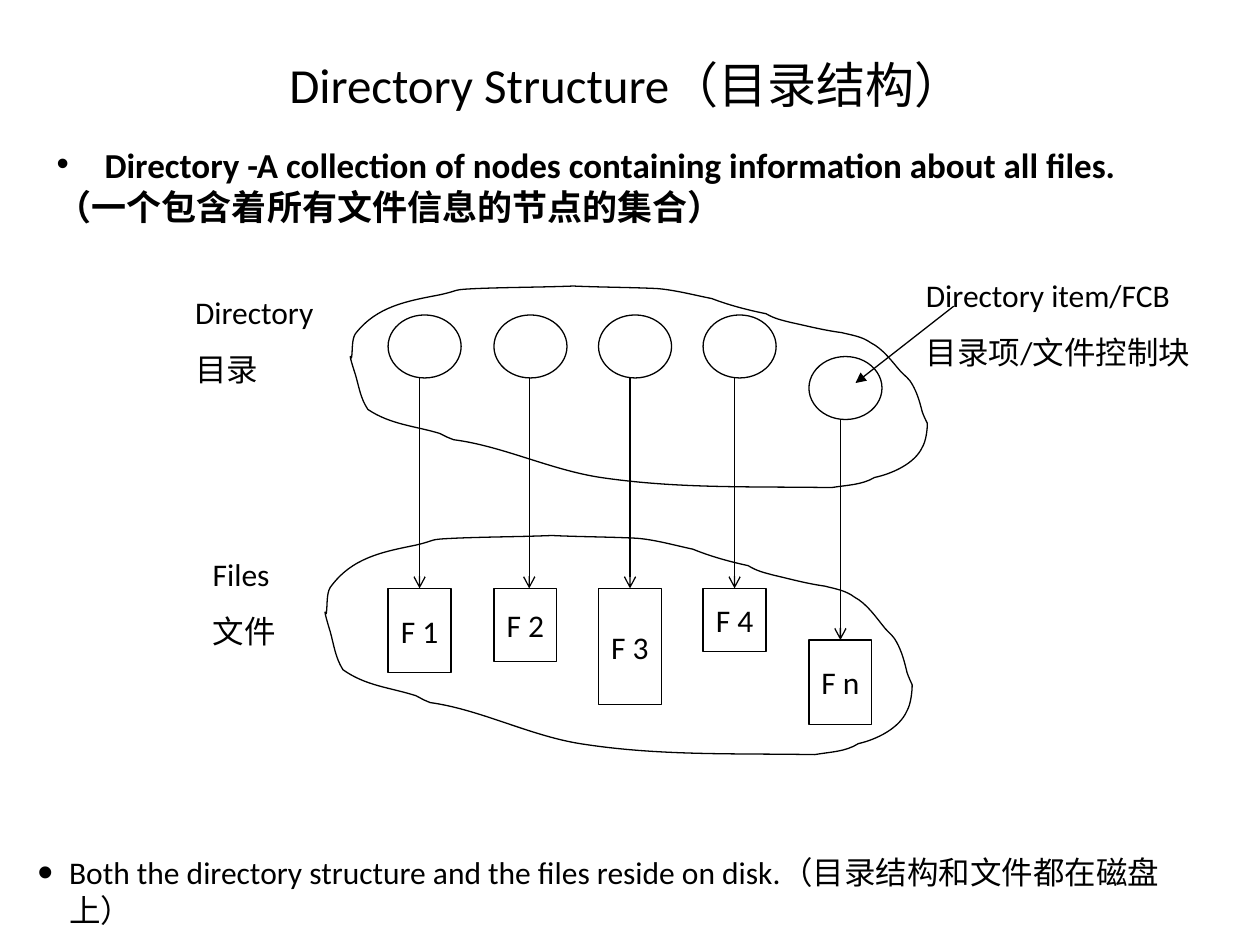
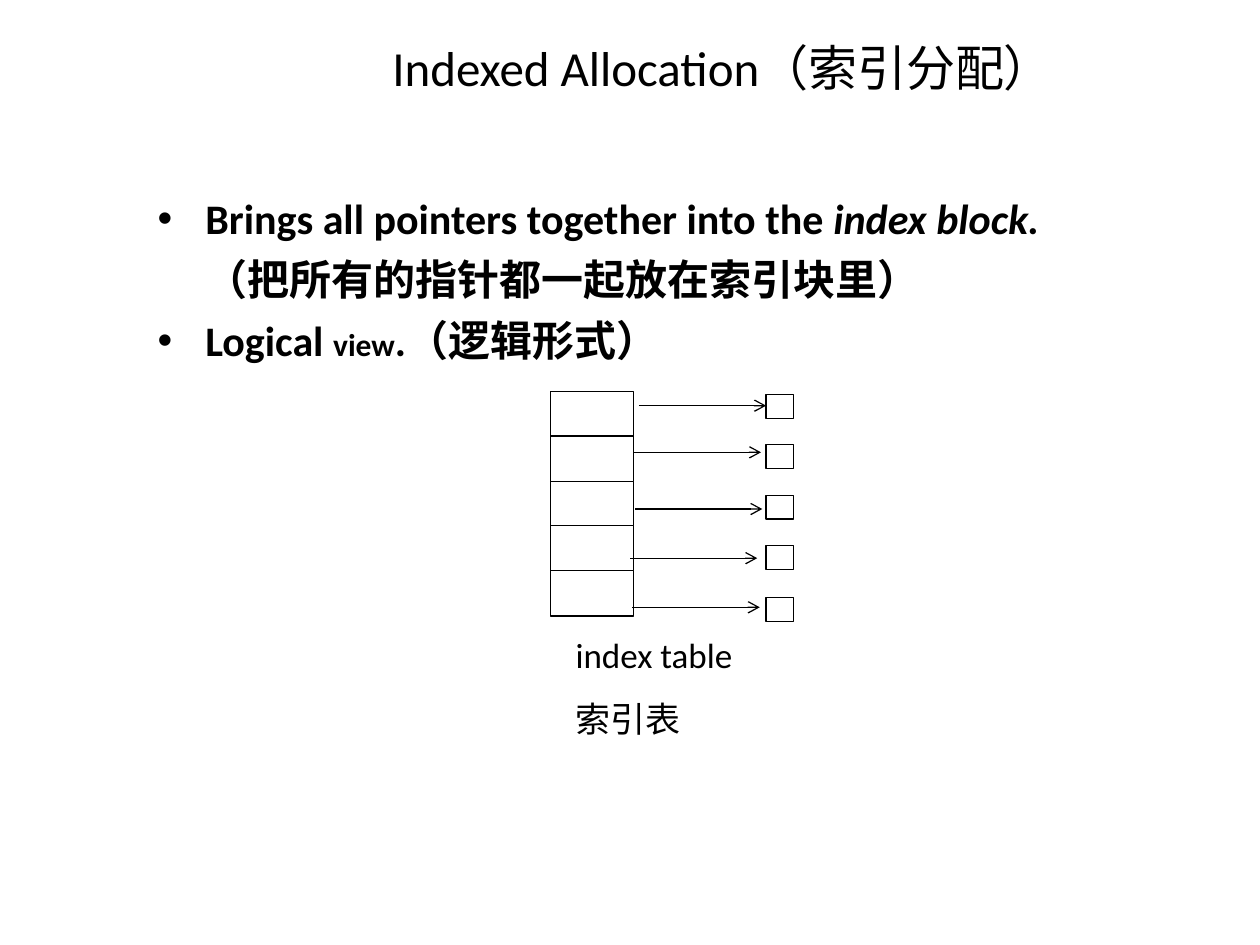
from lxml import etree
from pptx import Presentation
from pptx import util as u
from pptx.dml.color import RGBColor
from pptx.enum import shapes, text
from pptx.oxml import ns

PX = 9144  # EMU in one px: 100 px to the inch
BLACK = RGBColor(0, 0, 0)
WHITE = RGBColor(255, 255, 255)
FONT = "Calibri"
LINE_WIDTH = u.Pt(0.75)
HANG = 38

# Cloud outline: a start point, then Bézier curves of two controls and an end
CLOUD_SIZE = (458, 161)
CLOUD_START = (1, 57)
CLOUD_CURVES = [
    (2, 51, 1, 43, 4, 38), (21, 16, 45, 12, 71, 7),
    (89, 3, 79, 3, 101, 2), (126, 1, 151, 1, 177, 0),
    (199, 1, 221, 1, 243, 2), (257, 3, 272, 7, 287, 10),
    (300, 15, 315, 19, 330, 22), (337, 26, 342, 27, 350, 29),
    (364, 32, 375, 35, 390, 37), (398, 39, 406, 40, 413, 45),
    (423, 50, 430, 60, 437, 68), (440, 71, 444, 74, 446, 78),
    (450, 85, 452, 92, 454, 100), (455, 103, 458, 109, 458, 109),
    (458, 114, 457, 123, 454, 128), (448, 141, 430, 149, 416, 152),
    (406, 158, 394, 158, 382, 160), (318, 159, 260, 161, 199, 152),
    (159, 146, 121, 127, 82, 122), (80, 121, 79, 121, 77, 120),
    (75, 119, 73, 118, 71, 117), (51, 111, 32, 110, 14, 98),
    (8, 89, 7, 80, 4, 70), (4, 70, 0, 58, 0, 56), (0, 55, 1, 57, 1, 57),
]


def emu(*lengths):
    return [u.Emu(round(length * PX)) for length in lengths]


def steps(start, span, count=5):
    """Whole-px positions spread evenly from start over span."""
    return [start + span * index // (count - 1) for index in range(count)]


def place(shape, left, top, width, height):
    shape.left, shape.top, shape.width, shape.height = emu(left, top, width, height)


def style_font(font, size, bold=False):
    font.name, font.size, font.bold = FONT, u.Pt(size), bold
    font.color.rgb = BLACK


def set_bullet(para, margin, indent, mark=None, percent=100):
    """Give a paragraph its margin, first-line indent and bullet mark."""
    props = para._p.get_or_add_pPr()
    props.set("marL", str(margin * PX))
    props.set("indent", str(indent * PX))
    if mark is None:
        etree.SubElement(props, ns.qn("a:buNone"))
        return
    colour = etree.SubElement(props, ns.qn("a:buClr"))
    etree.SubElement(colour, ns.qn("a:srgbClr"), val=str(BLACK))
    etree.SubElement(props, ns.qn("a:buSzPct"), val=str(percent * 1000))
    etree.SubElement(props, ns.qn("a:buFont"), typeface="Arial")
    etree.SubElement(props, ns.qn("a:buChar"), char=mark)


def set_title(page, words, bounds):
    title = page.shapes.title
    place(title, *bounds)
    frame = title.text_frame
    frame.text = words
    frame.vertical_anchor = text.MSO_ANCHOR.TOP
    frame.auto_size = text.MSO_AUTO_SIZE.NONE
    para = frame.paragraphs[0]
    para.alignment = text.PP_ALIGN.CENTER
    style_font(para.font, 28)


def fill_list(frame, items, size, gap, bold=False, spacing=1.0):
    """Items are (words or runs, margin, indent, mark, mark percent)."""
    frame.word_wrap = True
    frame.auto_size = text.MSO_AUTO_SIZE.NONE
    for index, (runs, *bullet) in enumerate(items):
        para = frame.add_paragraph() if index else frame.paragraphs[0]
        set_bullet(para, *bullet)
        para.line_spacing = spacing
        para.space_before = u.Pt(gap if index else 0)
        style_font(para.font, size, bold)
        if isinstance(runs, str):
            runs = [(runs, size, False)]
        for words, run_size, italic in runs:
            span = para.add_run()
            span.text = words
            if run_size != size:
                span.font.size = u.Pt(run_size)
            if italic:
                span.font.italic = True


def add_label(page, lines, bounds, size=18, gap=11.2, wrap=True,
              anchor=text.MSO_ANCHOR.MIDDLE):
    box = page.shapes.add_textbox(*emu(*bounds))
    frame = box.text_frame
    frame.word_wrap = wrap
    frame.auto_size = text.MSO_AUTO_SIZE.SHAPE_TO_FIT_TEXT
    frame.vertical_anchor = anchor
    for index, words in enumerate(lines):
        para = frame.add_paragraph() if index else frame.paragraphs[0]
        para.text = words
        para.space_before = u.Pt(gap if index else 0)
        style_font(para.font, size)


def outline(shape):
    shape.shadow.inherit = False
    shape.line.color.rgb = BLACK
    shape.line.width = LINE_WIDTH


def add_node(page, kind, bounds, words=None):
    node = page.shapes.add_shape(kind, *emu(*bounds))
    outline(node)
    node.fill.solid()
    node.fill.fore_color.rgb = WHITE
    if words:
        frame = node.text_frame
        frame.word_wrap = False
        frame.vertical_anchor = text.MSO_ANCHOR.MIDDLE
        para = frame.paragraphs[0]
        para.text = words
        para.alignment = text.PP_ALIGN.CENTER
        style_font(para.font, 18)


def add_arrow(page, start, end, head="arrow"):
    arrow = page.shapes.add_connector(
        shapes.MSO_CONNECTOR.STRAIGHT, *emu(*start, *end))
    arrow.line.color.rgb = BLACK
    arrow.line.width = LINE_WIDTH
    etree.SubElement(arrow.line._get_or_add_ln(), ns.qn("a:tailEnd"), type=head)
    etree.SubElement(arrow._element.spPr, ns.qn("a:effectLst"))


def bend_segments(freeform):
    """Turn every three straight segments into one Bézier curve."""
    segments = list(freeform._element.iter(ns.qn("a:lnTo")))
    for first, second, third in zip(*[iter(segments)] * 3):
        first.tag = ns.qn("a:cubicBezTo")
        for segment in (second, third):
            first.append(segment[0])
            segment.getparent().remove(segment)


def add_cloud(page, left, top, width, height):
    def fit(x, y):
        return emu(left + x * width / CLOUD_SIZE[0],
                   top + y * height / CLOUD_SIZE[1])

    points = [fit(*curve[index:index + 2])
              for curve in CLOUD_CURVES for index in (0, 2, 4)]
    builder = page.shapes.build_freeform(*fit(*CLOUD_START))
    builder.add_line_segments(points, close=True)
    cloud = builder.convert_to_shape()
    bend_segments(cloud)
    outline(cloud)
    cloud.fill.background()


def add_page(deck, title, title_bounds, body_bounds):
    page = deck.slides.add_slide(deck.slide_layouts[1])
    set_title(page, title, title_bounds)
    body = page.placeholders[1]
    place(body, *body_bounds)
    return page, body.text_frame


def build_directory(deck):
    page, body = add_page(deck, "Directory Structure（目录结构）",
                          (100, 38, 794, 53), (35, 115, 906, 85))
    fill_list(body, [
        ("Directory -A collection of nodes containing information about all files.",
         HANG, -HANG, "•"),
        ("（一个包含着所有文件信息的节点的集合）", HANG, -HANG),
    ], size=20, gap=5, bold=True, spacing=0.8)

    # Directory items, their files and the arrows between them
    names = ["F 1", "F 2", "F 3", "F 4", "F n"]
    heights = [67, 58, 92, 50, 67]
    drops = [0, 0, 0, 0, 1]
    arrow_lefts = [333, 420, 500, 583, 667]
    lefts = [308, 392, 475, 558, 642]
    for name, height, drop, arrow_left, left in zip(
            names, heights, drops, arrow_lefts, lefts):
        item_top, file_top = 250 + 33 * drop, 467 + 41 * drop
        add_node(page, shapes.MSO_SHAPE.OVAL, (left, item_top, 58, 50))
        add_node(page, shapes.MSO_SHAPE.RECTANGLE, (left, file_top, 50, height), name)
        add_arrow(page, (arrow_left, item_top + 50), (arrow_left, file_top))

    # Clouds around both groups
    add_cloud(page, 278, 227, 458, 161)
    add_cloud(page, 258, 425, 466, 175)

    # Labels
    add_label(page, ["Directory", "目录"], (145, 227, 114, 86), wrap=False)
    add_label(page, ["Files", "文件"], (159, 435, 70, 86), wrap=False)
    add_arrow(page, (757, 243), (679, 304), "triangle")
    add_label(page, ["Directory item/FCB", "目录项/文件控制块"],
              (725, 214, 275, 86), anchor=text.MSO_ANCHOR.TOP)

    # Closing remark
    remark = page.shapes.add_textbox(*emu(20, 672, 957, 57))
    fill_list(remark.text_frame, [
        ("Both the directory structure and the files reside on disk."
         "（目录结构和文件都在磁盘上）", 25, -25, "•", 140),
    ], size=18, gap=0)


def build_allocation(deck):
    page, body = add_page(deck, "Indexed Allocation（索引分配）",
                          (174, 25, 799, 66), (115, 148, 769, 134))
    fill_list(body, [
        ([("Brings all pointers together into the ", 24, False),
          ("index block.", 24, True)], HANG, -HANG, "•"),
        ("（把所有的指针都一起放在索引块里）", HANG, 0),
        ([("Logical ", 24, False), ("view", 18, False),
          (".（逻辑形式）", 24, False)], HANG, -HANG, "•"),
    ], size=24, gap=6, bold=True)

    # Index table cells, data blocks and pointers
    pointers = [(507, 322), (503, 359), (504, 404), (500, 443), (502, 482)]
    rows = zip(steps(311, 142), steps(313, 161), pointers)
    for cell_top, block_top, (left, top) in rows:
        add_node(page, shapes.MSO_SHAPE.RECTANGLE, (437, cell_top, 66, 36))
        add_node(page, shapes.MSO_SHAPE.RECTANGLE, (608, block_top, 22, 19))
        add_arrow(page, (left, top), (left + 101, top))

    add_label(page, ["index table", "索引表"], (447, 498, 183, 94), size=20, gap=12.5)


def main():
    deck = Presentation()
    deck.slide_width, deck.slide_height = emu(1000, 750)
    build_directory(deck)
    build_allocation(deck)
    deck.save("out.pptx")


if __name__ == "__main__":
    main()
